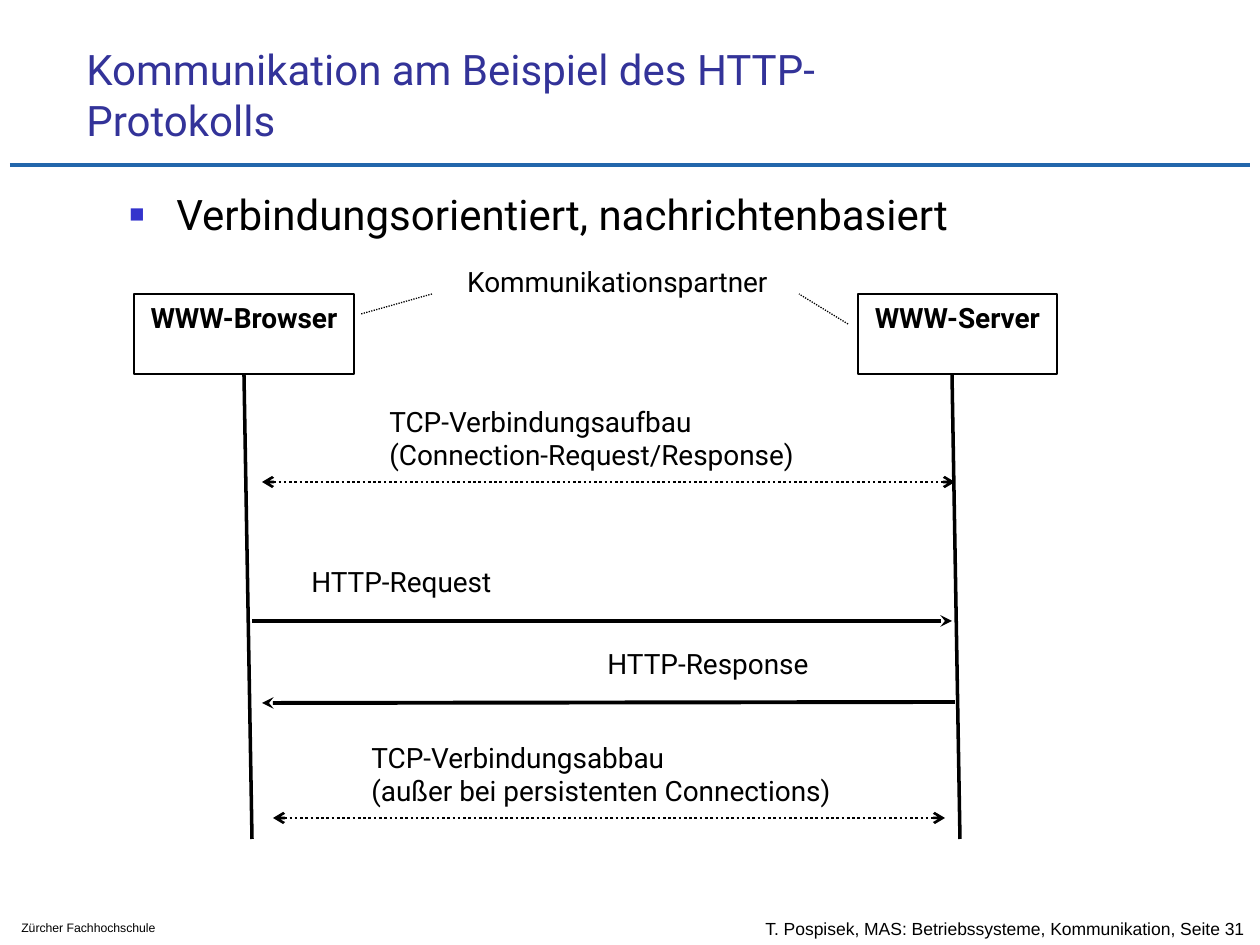
from lxml.etree import SubElement
from pptx import Presentation
from pptx.dml.color import RGBColor
from pptx.enum.dml import MSO_LINE
from pptx.enum.shapes import MSO_CONNECTOR, MSO_SHAPE
from pptx.enum.text import MSO_ANCHOR, PP_ALIGN
from pptx.oxml.ns import qn
from pptx.util import Emu, Pt

EMU_PER_PX = 914400 / 126
BLACK = "000000"
TITLE_BLUE = "333399"
RULE_BLUE = "2266AB"
BULLET_BLUE = "3333CC"


def px(length):
    return Emu(round(length * EMU_PER_PX))


def color(hex_string):
    return RGBColor.from_string(hex_string)


class SequenceSlide:
    font_name = "Roboto"
    label_size = 16

    def __init__(self, slide):
        self.slide = slide

    def style(self, frame, size=None, hue=BLACK, align=PP_ALIGN.LEFT,
              font=None, bold=False, anchor=MSO_ANCHOR.TOP):
        frame.word_wrap = True
        frame.vertical_anchor = anchor
        for paragraph in frame.paragraphs:
            paragraph.alignment = align
            paragraph.font.name = font or self.font_name
            paragraph.font.size = Pt(size or self.label_size)
            paragraph.font.color.rgb = color(hue)
            paragraph.font.bold = bold

    def text(self, area, lines, **look):
        frame = self.slide.shapes.add_textbox(*map(px, area)).text_frame
        frame.text = lines
        self.style(frame, **look)

    def bullet(self, area, line, size):
        frame = self.slide.shapes.add_textbox(*map(px, area)).text_frame
        frame.text = line
        paragraph = frame.paragraphs[0]
        paragraph.line_spacing = 0.9
        properties = paragraph._p.get_or_add_pPr()
        properties.set("marL", str(px(48)))
        properties.set("indent", str(-px(47)))
        bullet_color = SubElement(properties, qn("a:buClr"))
        SubElement(bullet_color, qn("a:srgbClr"), val=BULLET_BLUE)
        SubElement(properties, qn("a:buSzPct"), val="60000")
        SubElement(properties, qn("a:buFont"), typeface="Arial")
        SubElement(properties, qn("a:buChar"), char="■")
        self.style(frame, size=size)

    def partner(self, area, name):
        box = self.slide.shapes.add_shape(MSO_SHAPE.RECTANGLE, *map(px, area))
        box.shadow.inherit = False
        box.fill.background()
        box.line.color.rgb = color(BLACK)
        box.line.width = Pt(0.75)
        box.text_frame.text = name
        self.style(box.text_frame, align=PP_ALIGN.CENTER, bold=True)

    def line(self, start, end, width, hue=BLACK, dotted=False, head=None,
             tail=None):
        link = self.slide.shapes.add_connector(
            MSO_CONNECTOR.STRAIGHT, *map(px, start + end))
        link.line.color.rgb = color(hue)
        link.line.width = Pt(width)
        if dotted:
            link.line.dash_style = MSO_LINE.ROUND_DOT
        outline = link.line._get_or_add_ln()
        for tag, arrow in (("a:headEnd", head), ("a:tailEnd", tail)):
            if arrow:
                SubElement(outline, qn(tag), type=arrow)
        SubElement(link._element.spPr, qn("a:effectLst"))


def main():
    presentation = Presentation()
    presentation.slide_width = px(1260)
    presentation.slide_height = px(945)
    page = SequenceSlide(
        presentation.slides.add_slide(presentation.slide_layouts[6]))

    page.line((10, 165), (1250, 165), 2.5, RULE_BLUE)
    page.text((753, 908, 617, 41),
              "T. Pospisek, MAS: Betriebssysteme, Kommunikation, Seite 31",
              size=10, font="Arial", anchor=MSO_ANCHOR.MIDDLE)
    page.text((9, 914, 217, 27), "Zürcher Fachhochschule",
              size=7, font="Arial")
    page.text((74, 35, 898, 116),
              "Kommunikation am Beispiel des HTTP-Protokolls",
              size=24, hue=TITLE_BLUE, anchor=MSO_ANCHOR.BOTTOM)
    page.bullet((116, 188, 1029, 37),
                "Verbindungsorientiert, nachrichtenbasiert", 24)

    page.text((402, 258, 431, 47), "Kommunikationspartner",
              align=PP_ALIGN.CENTER)
    for start, end in (((432, 294), (361, 314)), ((848, 324), (799, 294))):
        page.line(start, end, 0.75, dotted=True)

    for left, width, name, lifeline in ((134, 220, "WWW-Browser", 244),
                                        (858, 199, "WWW-Server", 952)):
        page.partner((left, 294, width, 80), name)
        page.line((lifeline, 374), (lifeline + 8, 839), 2)

    for area, lines in (
            ((377, 398, 476, 79),
             "TCP-Verbindungsaufbau\n(Connection-Request/Response)"),
            ((359, 734, 573, 79),
             "TCP-Verbindungsabbau\n(außer bei persistenten Connections)"),
            ((299, 558, 751, 47), "HTTP-Request")):
        page.text(area, lines)
    page.text((330, 640, 491, 47), "HTTP-Response", align=PP_ALIGN.RIGHT)

    for left, right, y in ((262, 955, 482), (273, 945, 818)):
        page.line((left, y), (right, y), 1.5, dotted=True, head="arrow",
                  tail="arrow")
    for start, end in (((252, 621), (952, 621)), ((955, 702), (262, 703))):
        page.line(start, end, 2.25, tail="stealth")

    presentation.save("out.pptx")


if __name__ == "__main__":
    main()
